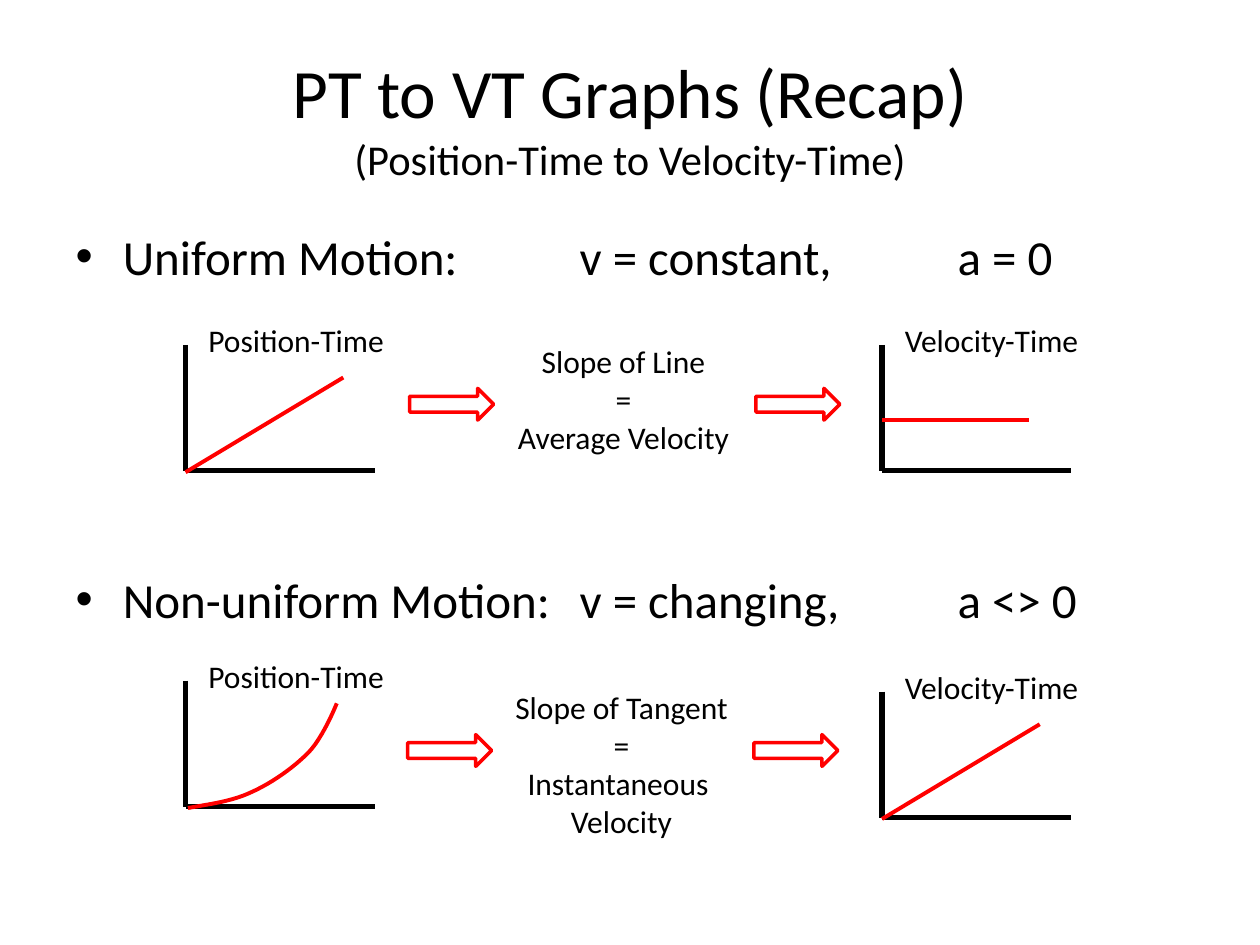
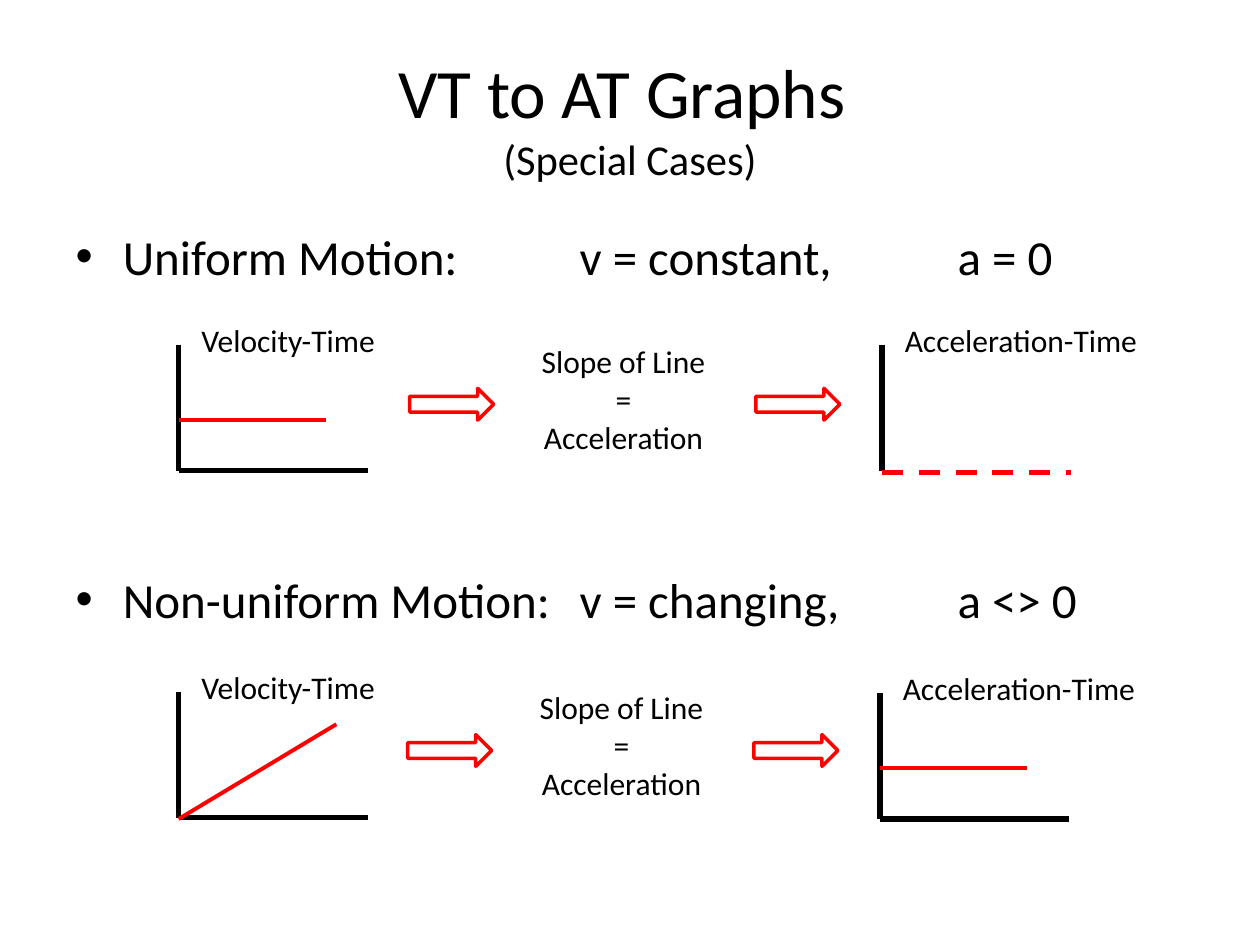
from pptx import Presentation
from pptx.dml.color import RGBColor
from pptx.enum.dml import MSO_LINE_DASH_STYLE as Dash
from pptx.enum.shapes import MSO_CONNECTOR_TYPE as Connector, MSO_SHAPE as Shape
from pptx.enum.text import MSO_ANCHOR as Anchor, MSO_AUTO_SIZE as AutoSize, PP_ALIGN as Align
from pptx.oxml.ns import qn
from pptx.util import Cm, Pt
from lxml.etree import SubElement

COLORS = {"text": "000000", "axis": "000000", "accent": "FF0000"}
AXIS_WIDTH, AXIS_HEIGHT = 3.81, 2.54
ROW_STEP, ARROW_STEP = 6.98, 6.98
TANGENT_CURVE = [
    [(0.05, 0.03), (0.48, -0.05), (0.94, -0.1), (1.35, -0.3)],
    [(1.35, -0.3), (1.75, -0.48), (2.18, -0.79), (2.46, -1.07)],
    [(2.46, -1.07), (2.77, -1.37), (3.05, -2.08), (3.05, -2.08)],
]
MOTIONS = [
    "Uniform Motion: \tv = constant, \ta = 0",
    "Non-uniform Motion:\tv = changing,\ta <> 0",
]
SLIDES = [
    {
        "title": "PT to VT Graphs (Recap)",
        "subtitle": "(Position-Time to Velocity-Time)",
        "notes": ["Slope of Line\n=\nAverage Velocity",
                  "Slope of Tangent\n=\nInstantaneous \vVelocity"],
        "graphs": [(3.74, 9.49, "Position-Time", "rising"),
                   (17.78, 9.49, "Velocity-Time", "constant"),
                   (3.74, 16.26, "Position-Time", "curved"),
                   (17.78, 16.48, "Velocity-Time", "rising")],
    },
    {
        "title": "VT to AT Graphs ",
        "subtitle": "(Special Cases)",
        "notes": ["Slope of Line\n=\nAcceleration"] * 2,
        "graphs": [(3.6, 9.49, "Velocity-Time", "constant"),
                   (17.78, 9.49, "Acceleration-Time", "zero"),
                   (3.6, 16.48, "Velocity-Time", "rising"),
                   (17.74, 16.51, "Acceleration-Time", "constant")],
    },
]


def bezier_points(start, first, second, end, steps=12):
    """Return points along a cubic curve, without its start."""
    points = []
    for step in range(1, steps + 1):
        t = step / steps
        weights = ((1 - t) ** 3, 3 * t * (1 - t) ** 2, 3 * t * t * (1 - t), t ** 3)
        controls = (start, first, second, end)
        points.append(tuple(sum(w * c[axis] for w, c in zip(weights, controls))
                            for axis in (0, 1)))
    return points


class MotionDeck:
    """Holds the deck style and the slide being drawn."""

    def __init__(self):
        """Start a 4:3 presentation."""
        self.presentation = Presentation()
        self.presentation.slide_width = Cm(25.4)
        self.presentation.slide_height = Cm(19.05)
        self.slide = None

    def new_slide(self):
        """Add a slide with a title and a body."""
        layout = self.presentation.slide_layouts[1]
        self.slide = self.presentation.slides.add_slide(layout)

    def style_font(self, font, size):
        """Apply the deck font at a size in points."""
        for name, value in {"name": "Calibri", "size": Pt(size)}.items():
            setattr(font, name, value)
        font.color.rgb = RGBColor.from_string(COLORS["text"])

    def style_line(self, line, color, width):
        """Colour a line and set its width in points."""
        line.color.rgb = RGBColor.from_string(COLORS[color])
        line.width = Pt(width)

    def place(self, shape, left, top, width, height):
        """Move a placeholder and fix its text size."""
        box = {"left": left, "top": top, "width": width, "height": height}
        for name, value in box.items():
            setattr(shape, name, Cm(value))
        shape.text_frame.auto_size = AutoSize.NONE
        return shape.text_frame

    def title(self, heading, subtitle):
        """Fill the title with a heading above a smaller line."""
        frame = self.place(self.slide.shapes.title, 1.27, 0.76, 22.86, 3.18)
        frame.vertical_anchor = Anchor.MIDDLE
        paragraph = frame.paragraphs[0]
        paragraph.alignment = Align.CENTER
        for content, size in ((heading, 39.6), (subtitle, 24.3)):
            if paragraph.runs:
                paragraph.add_line_break()
            run = paragraph.add_run()
            run.text = content
            self.style_font(run.font, size)

    def bullets(self, lines, gap):
        """Fill the body with bullets that leave room for graphs."""
        frame = self.place(self.slide.placeholders[1], 1.27, 4.44, 22.86, 12.57)
        for index, line in enumerate(lines):
            paragraph = frame.paragraphs[0] if index == 0 else frame.add_paragraph()
            paragraph.text = line
            properties = paragraph._p.get_or_add_pPr()
            properties.set("defTabSz", str(Cm(2.54)))
            paragraph.space_before = Pt(gap if index else 0)
            for run in paragraph.runs:
                self.style_font(run.font, 28)

    def text(self, shapes, content, left, top, width, height, alignment=Align.LEFT):
        """Add a text box."""
        frame = shapes.add_textbox(Cm(left), Cm(top), Cm(width), Cm(height)).text_frame
        frame.word_wrap = True
        frame.text = content
        for paragraph in frame.paragraphs:
            paragraph.alignment = alignment
            for run in paragraph.runs:
                self.style_font(run.font, 18)

    def line(self, shapes, start, end, color="axis", width=3, dash=None):
        """Add a straight line between two points."""
        connector = shapes.add_connector(Connector.STRAIGHT, *map(Cm, start + end))
        self.style_line(connector.line, color, width)
        if dash:
            connector.line.dash_style = dash
        SubElement(connector._element.spPr, qn("a:effectLst"))

    def curve(self, shapes, x, y):
        """Add the curved position plot from a graph origin."""
        offsets = [TANGENT_CURVE[0][0]]
        for segment in TANGENT_CURVE:
            offsets += bezier_points(*segment)
        points = [(Cm(x + dx), Cm(y + dy)) for dx, dy in offsets]
        builder = shapes.build_freeform(*points[0])
        builder.add_line_segments(points[1:], close=False)
        shape = builder.convert_to_shape()
        shape.shadow.inherit = False
        shape.fill.background()
        self.style_line(shape.line, "accent", 2.25)

    def arrow(self, left, top):
        """Add an outlined block arrow."""
        shape = self.slide.shapes.add_shape(
            Shape.RIGHT_ARROW, Cm(left), Cm(top), Cm(1.69), Cm(0.64))
        shape.shadow.inherit = False
        shape.fill.background()
        self.style_line(shape.line, "accent", 2)

    def graph(self, x, y, label, plot):
        """Add axes, a label and a plot from the origin at x, y."""
        shapes = self.slide.shapes.add_group_shape().shapes
        base = y + 0.03
        self.line(shapes, (x, y - AXIS_HEIGHT), (x, y))
        if plot != "zero":
            self.line(shapes, (x, y), (x + AXIS_WIDTH, y))
        self.text(shapes, label, x + 0.21, y - 3.14, 5.3, 1.02)
        if plot == "rising":
            self.line(shapes, (x, base), (x + 3.18, base - 1.91), "accent", 2.25)
        elif plot == "constant":
            self.line(shapes, (x, y - 1.03), (x + 2.97, y - 1.03), "accent", 2.25)
        elif plot == "zero":
            self.line(shapes, (x, base), (x + AXIS_WIDTH, base), "accent", 3, Dash.DASH)
        else:
            self.curve(shapes, x, y)

    def step(self, row, note):
        """Add the note of a row between its two arrows."""
        shift, drop = -0.04 * row, ROW_STEP * row
        for column in range(2):
            self.arrow(8.26 + shift + ARROW_STEP * column, 7.83 + drop)
        height = 3.33 if "\v" in note else 2.57
        self.text(self.slide.shapes, note, 10.07 + shift, 6.77 + drop, 5, height,
                  Align.CENTER)


def main():
    """Build both slides and save them."""
    deck = MotionDeck()
    for content in SLIDES:
        deck.new_slide()
        deck.title(content["title"], content["subtitle"])
        deck.bullets(MOTIONS, gap=162.4)
        for row, note in enumerate(content["notes"]):
            deck.step(row, note)
        for graph in content["graphs"]:
            deck.graph(*graph)
    deck.presentation.save("out.pptx")


if __name__ == "__main__":
    main()
